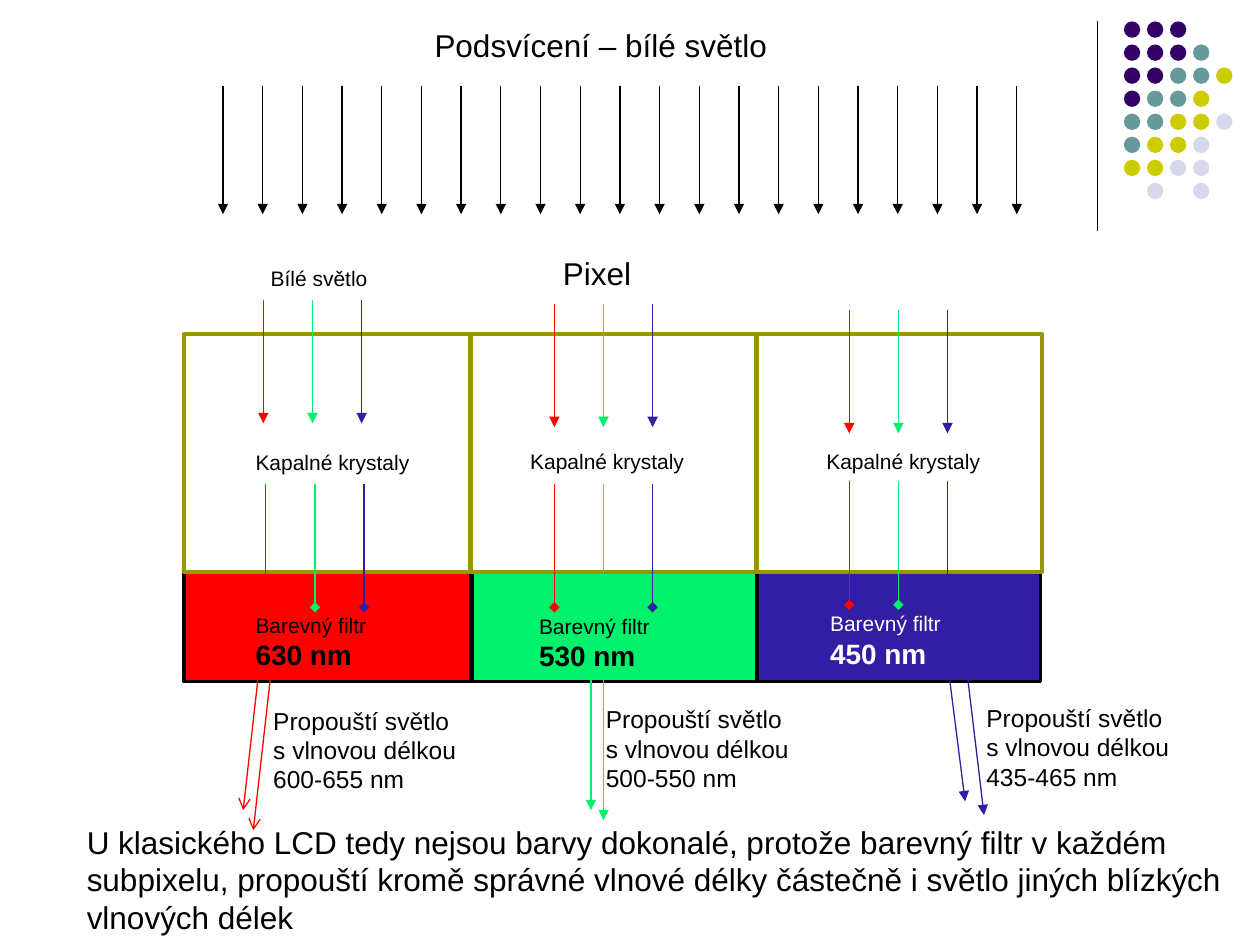
from lxml import etree
from pptx import Presentation
from pptx import util as u
from pptx.dml.color import RGBColor
from pptx.enum import shapes, text
from pptx.oxml.ns import qn

COLORS = {
    "black": "000000", "white": "FFFFFF", "red": "FF0000", "green": "00F26D",
    "blue": "311EA2", "olive": "979700", "purple": "330066", "teal": "669999",
    "yellow": "CCCC00", "lavender": "D8D8EC",
}
DOT_COLORS = {"P": "purple", "T": "teal", "Y": "yellow", "L": "lavender"}
DOT_ROWS = ["PPP", "PPPT", "PPTTY", "PTTY", "TTYYL", "TYYL", "YYLL", " L L"]
RAY_COLORS = ["red", "green", "blue"]
RAY_GAP = 0.39
RAY_LENGTH = 0.98

TITLE = ("Podsvícení – bílé světlo", 3.35, 0.16, 4.72, 0.4, 18)
LABELS = [
    ("Pixel", 4.37, 1.97, 1.5, 0.4, 18),
    ("Bílé světlo", 2.05, 2.06, 1.26, 0.3, 12),
    ("U klasického LCD tedy nejsou barvy dokonalé, protože barevný filtr v každém "
     "subpixelu, propouští kromě správné vlnové délky částečně i světlo jiných "
     "blízkých vlnových délek", 0.59, 6.48, 9.29, 1.01, 18),
]
SUBPIXELS = [
    {"color": "red", "font": "black", "filter": (1.46, 2.28), "cell": 1.46,
     "wavelength": "630 nm", "filter_label": (1.93, 4.81), "crystal_label": (1.93, 3.52),
     "range": "600-655 nm", "range_label": (2.07, 5.55),
     "incoming": (2.09, 2.38), "passing": (2.11, 3.84),
     "tails": ["triangle", "diamond", "diamond"], "output_tail": "arrow",
     "outputs": [(2.09, 5.01, 1.93, 6.43), (2.17, 5.17, 2.01, 6.59)]},
    {"color": "green", "font": "black", "filter": (3.75, 2.28), "cell": 3.74,
     "wavelength": "530 nm", "filter_label": (4.18, 4.82), "crystal_label": (4.11, 3.51),
     "range": "500-550 nm", "range_label": (4.71, 5.54),
     "incoming": (4.4, 2.41), "passing": (4.4, 3.84),
     "tails": ["diamond"] * 3, "output_tail": "triangle",
     "outputs": [(4.69, 5.17, 4.69, 6.43), (4.79, 5.25, 4.79, 6.51)]},
    {"color": "blue", "font": "white", "filter": (6.01, 2.25), "cell": 6,
     "wavelength": "450 nm", "filter_label": (6.49, 4.8), "crystal_label": (6.46, 3.51),
     "range": "435-465 nm", "range_label": (7.73, 5.53),
     "incoming": (6.74, 2.46), "passing": (6.74, 3.82),
     "tails": ["diamond"] * 3, "output_tail": "triangle",
     "outputs": [(7.5, 5.1, 7.66, 6.36), (7.66, 5.21, 7.81, 6.47)]},
]


def rgb(name):
    return RGBColor.from_string(COLORS[name])


def add_shape(slide, kind, box, fill=None, line=None):
    shape = slide.shapes.add_shape(kind, *map(u.Inches, box))
    shape.shadow.inherit = False
    if fill:
        shape.fill.solid()
        shape.fill.fore_color.rgb = rgb(fill)
    else:
        shape.fill.background()
    if line:
        shape.line.color.rgb = rgb(line)
        shape.line.width = u.Pt(2)
    else:
        shape.line.fill.background()


def add_line(slide, ends, color="black", tail=None):
    line = slide.shapes.add_connector(
        shapes.MSO_CONNECTOR.STRAIGHT, *map(u.Inches, ends))
    line.line.color.rgb = rgb(color)
    line.line.width = u.Pt(0.75)
    if tail:
        outline = line.line._get_or_add_ln()
        etree.SubElement(outline, qn("a:tailEnd"), type=tail)
    etree.SubElement(line._element.spPr, qn("a:effectLst"))


def add_text(slide, box, lines, color="black"):
    frame = slide.shapes.add_textbox(*map(u.Inches, box)).text_frame
    frame.word_wrap = True
    frame.auto_size = text.MSO_AUTO_SIZE.SHAPE_TO_FIT_TEXT
    for index, (words, size, bold) in enumerate(lines):
        paragraph = frame.add_paragraph() if index else frame.paragraphs[0]
        paragraph.text = words
        paragraph.font.name = "Arial"
        paragraph.font.size = u.Pt(size)
        paragraph.font.bold = bold
        paragraph.font.color.rgb = rgb(color)


def add_label(slide, words, left, top, width, height, size):
    add_text(slide, (left, top, width, height), [(words, size, False)])


def add_rays(slide, start, tails):
    left, top = start
    for index, (color, tail) in enumerate(zip(RAY_COLORS, tails)):
        x = left + index * RAY_GAP
        add_line(slide, (x, top, x, top + RAY_LENGTH), color, tail)


def add_dots(slide):
    gap = 0.183
    for row, codes in enumerate(DOT_ROWS):
        for column, code in enumerate(codes):
            if code in DOT_COLORS:
                box = (8.92 + column * gap, 0.17 + row * gap, 0.13, 0.13)
                add_shape(slide, shapes.MSO_SHAPE.OVAL, box, DOT_COLORS[code])


def add_backlight(slide):
    for index in range(21):
        x = 1.77 + index * 0.315
        add_line(slide, (x, 0.68, x, 1.7), tail="triangle")
    add_label(slide, *TITLE)


def add_subpixels(slide):
    rectangle = shapes.MSO_SHAPE.RECTANGLE
    for pixel in SUBPIXELS:
        left, width = pixel["filter"]
        add_shape(slide, rectangle, (left, 4.54, width, 0.87), pixel["color"], "black")
    for pixel in SUBPIXELS:
        add_shape(slide, rectangle, (pixel["cell"], 2.65, 2.27, 1.89), line="olive")
    for pixel in SUBPIXELS:
        for ends in pixel["outputs"]:
            add_line(slide, ends, pixel["color"], pixel["output_tail"])
        add_text(slide, (*pixel["filter_label"], 1.5, 0.57),
                 [("Barevný filtr", 12, False), (pixel["wavelength"], 16, True)],
                 pixel["font"])
        add_label(slide, "Kapalné krystaly", *pixel["crystal_label"], 1.5, 0.3, 12)
        add_rays(slide, pixel["incoming"], ["triangle"] * 3)
        add_rays(slide, pixel["passing"], pixel["tails"])
        add_label(slide, f"Propouští světlo s vlnovou délkou {pixel['range']}",
                  *pixel["range_label"], 1.69, 0.81, 14)


def main():
    presentation = Presentation()
    presentation.slide_width = u.Inches(10)
    presentation.slide_height = u.Inches(7.5)
    slide = presentation.slides.add_slide(presentation.slide_layouts[6])
    add_line(slide, (8.71, 0.17, 8.71, 1.83))
    add_dots(slide)
    add_backlight(slide)
    add_subpixels(slide)
    for label in LABELS:
        add_label(slide, *label)
    presentation.save("out.pptx")


if __name__ == "__main__":
    main()
